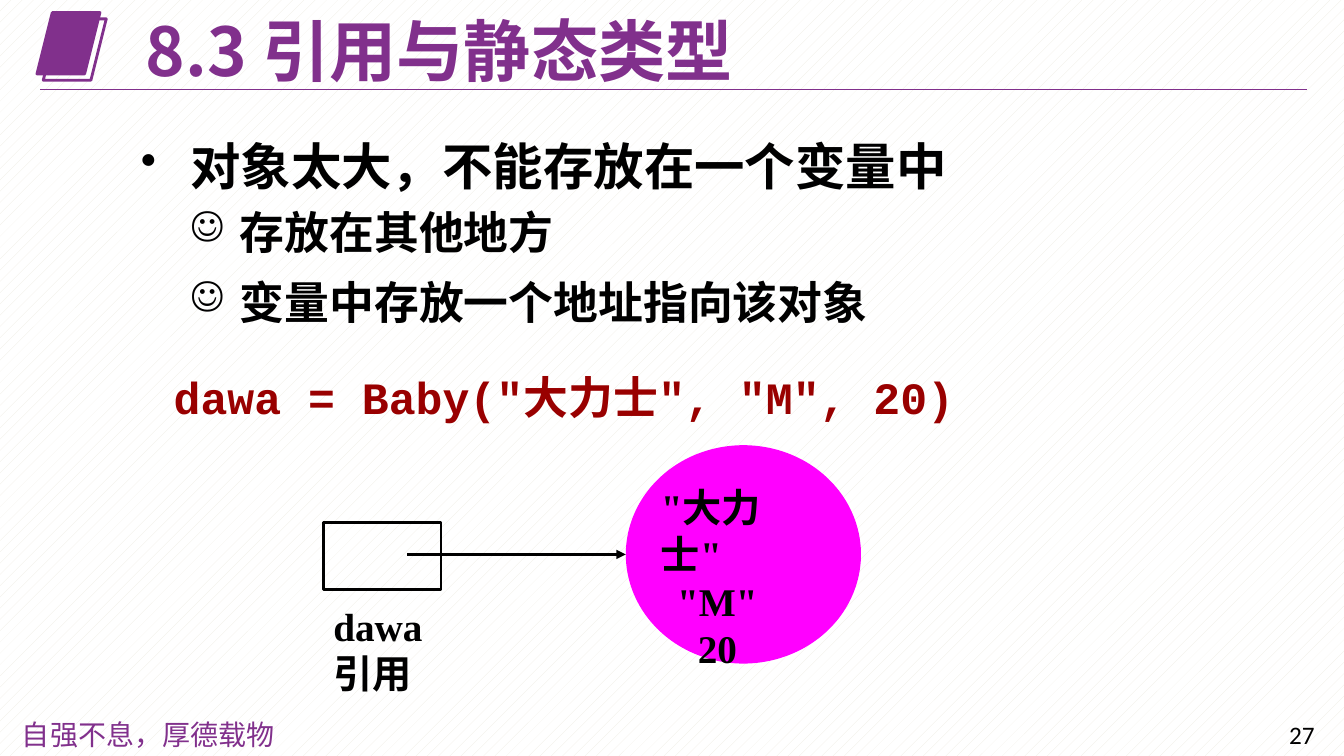
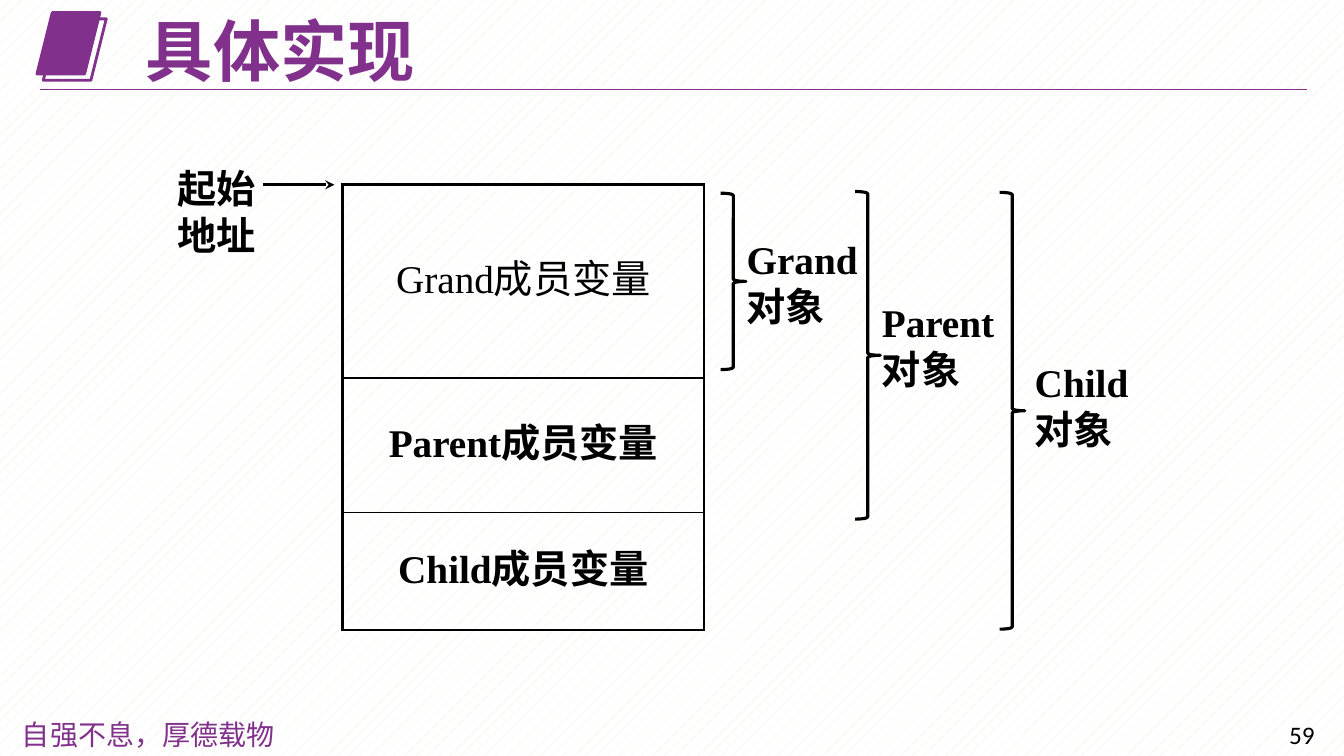
from dataclasses import dataclass

from lxml.etree import SubElement as add_element
from pptx import Presentation
from pptx.dml.color import RGBColor as Color
from pptx.enum.dml import MSO_PATTERN_TYPE as Pattern
from pptx.enum.shapes import MSO_CONNECTOR as Connector, MSO_SHAPE as Shape
from pptx.enum.text import MSO_ANCHOR as Anchor, PP_ALIGN as Align
from pptx.oxml import parse_xml
from pptx.oxml.ns import nsdecls, qn
from pptx.util import Inches, Pt

COLUMNS, ROWS = 160, 90


@dataclass(frozen=True)
class Theme:
    purple: str = "81308C"
    ink: str = "000000"
    code: str = "990000"
    magenta: str = "FF00FF"
    dots: str = "EEECE1"
    paper: str = "FFFFFF"
    sans: str = "Noto Sans CJK SC"
    motto_font: str = "Noto Sans CJK JP"
    serif: str = "Times New Roman"
    mono: str = "Courier New"
    number_font: str = "Calibri"
    title: int = 48
    point: int = 36
    subpoint: int = 32
    label: int = 28
    motto: int = 20
    number: int = 18
    leading: float = 1.2
    thin: float = 0.75
    inner: float = 1
    outline: float = 2
    heavy: float = 2.25


class Board:
    def __init__(self, theme):
        self.theme = theme
        self.deck = Presentation()
        self.deck.slide_width = Inches(13.33)
        self.deck.slide_height = Inches(7.5)
        self.slide = None

    def across(self, columns):
        return round(self.deck.slide_width * columns / COLUMNS)

    def down(self, rows):
        return round(self.deck.slide_height * rows / ROWS)

    def place(self, left, top, width, height):
        return self.across(left), self.down(top), self.across(width), self.down(height)

    def new_slide(self, title, number):
        theme = self.theme
        self.slide = self.deck.slides.add_slide(self.deck.slide_layouts[6])
        fill = self.slide.background.fill
        fill.patterned()
        fill.pattern = Pattern.PERCENT_10
        fill.fore_color.rgb = Color.from_string(theme.dots)
        fill.back_color.rgb = Color.from_string(theme.paper)
        self.text((1.44, 84.8, 36, 5), ["自强不息，厚德载物"], size=theme.motto,
                  face=theme.motto_font, color=theme.purple, bold=False)
        self.text((152.3, 85, 7.4, 4.8), [number], size=theme.number,
                  face=theme.number_font, bold=False)
        for offset, fill_color in ((0, theme.purple), (0.75, None)):
            self.shape(Shape.PARALLELOGRAM, (4.4 + offset, 1.5 + offset, 7.5, 7.3),
                       fill_color, theme.purple)
        self.line((4.8, 10.7), (155.6, 10.7), theme.purple, theme.thin)
        self.text((16.2, 1.4, 120, 9.1), [title], size=theme.title, face=theme.sans,
                  color=theme.purple, anchor=Anchor.MIDDLE)

    def add_words(self, para, words, size, face=None, color=None, bold=True):
        theme = self.theme
        para.line_spacing = Pt(size * theme.leading)
        span = para.add_run()
        span.text = words
        formats = {"size": Pt(size), "name": face or theme.serif, "bold": bold}
        for name, value in formats.items():
            setattr(span.font, name, value)
        span.font.color.rgb = Color.from_string(color or theme.ink)
        east = theme.motto_font if face == theme.motto_font else theme.sans
        add_element(span.font._element, qn("a:ea"), typeface=east)

    def frame(self, area, anchor=Anchor.TOP):
        box = self.slide.shapes.add_textbox(*self.place(*area)).text_frame
        box.word_wrap = True
        box.vertical_anchor = anchor
        return box

    def paragraphs(self, box, items):
        for index, item in enumerate(items):
            yield (box.add_paragraph() if index else box.paragraphs[0]), item

    def text(self, area, lines, size, anchor=Anchor.TOP, centered_from=None, **formats):
        box = self.frame(area, anchor)
        for index, (para, words) in enumerate(self.paragraphs(box, lines)):
            if centered_from is not None and index >= centered_from:
                para.alignment = Align.CENTER
            self.add_words(para, words, size, **formats)

    def bullets(self, area, items):
        theme = self.theme
        looks = (("•", theme.point), ("☺", theme.subpoint))
        step = Inches(0.49)
        for para, (level, words, spacing) in self.paragraphs(self.frame(area), items):
            mark, size = looks[level]
            properties = para._p.get_or_add_pPr()
            properties.set("marL", str(step * (level + 1)))
            properties.set("indent", str(-step))
            add_element(properties, qn("a:buSzPct"), val="90000")
            add_element(properties, qn("a:buChar"), char=mark)
            para.level = level
            for name, value in spacing.items():
                setattr(para, name, Pt(value))
            self.add_words(para, words, size, theme.sans)

    def shape(self, kind, area, fill=None, line=None, width=None):
        shape = self.slide.shapes.add_shape(kind, *self.place(*area))
        shape.shadow.inherit = False
        if fill:
            shape.fill.solid()
            shape.fill.fore_color.rgb = Color.from_string(fill)
        else:
            shape.fill.background()
        if line:
            shape.line.color.rgb = Color.from_string(line)
            shape.line.width = Pt(width or self.theme.outline)
        else:
            shape.line.fill.background()

    def line(self, start, end, color, width, head=None):
        ends = [measure(value) for point in (start, end)
                for measure, value in zip((self.across, self.down), point)]
        line = self.slide.shapes.add_connector(Connector.STRAIGHT, *ends)
        line.line.color.rgb = Color.from_string(color)
        line.line.width = Pt(width)
        if head:
            add_element(line.line._get_or_add_ln(), qn("a:tailEnd"), type=head)
        add_element(line._element.spPr, qn("a:effectLst"))

    def arrow(self, start, end, head):
        self.line(start, end, self.theme.ink, self.theme.heavy, head)

    def stack(self, left, top, width, rows):
        theme = self.theme
        area = self.place(left, top, width, sum(height for _, height, _ in rows))
        table = self.slide.shapes.add_table(len(rows), 1, *area).table
        table.first_row = table.horz_banding = False
        last = len(rows) - 1
        for index, (words, height, bold) in enumerate(rows):
            table.rows[index].height = self.down(height)
            cell = table.cell(index, 0)
            cell.fill.background()
            cell.vertical_anchor = Anchor.MIDDLE
            para = cell.text_frame.paragraphs[0]
            para.alignment = Align.CENTER
            self.add_words(para, words, theme.label, bold=bold)
            self.borders(cell, {
                "L": theme.heavy,
                "R": theme.heavy,
                "T": theme.inner if index else theme.heavy,
                "B": theme.heavy if index == last else theme.inner,
            })

    def borders(self, cell, widths):
        properties = cell._tc.get_or_add_tcPr()
        for position, (side, width) in enumerate(widths.items()):
            properties.insert(position, parse_xml(
                f'<a:ln{side} {nsdecls("a")} w="{Pt(width)}"><a:solidFill>'
                f'<a:srgbClr val="{self.theme.ink}"/></a:solidFill></a:ln{side}>'))


def reference_slide(board):
    theme = board.theme
    board.new_slide("8.3 引用与静态类型", "27")
    board.bullets((15.6, 15.5, 108, 65), [
        (0, "对象太大，不能存放在一个变量中", {}),
        (1, "存放在其他地方", {"space_before": 6.4, "space_after": 12}),
        (1, "变量中存放一个地址指向该对象", {}),
    ])
    board.text((19.5, 43.4, 110, 7.7), ['dawa = Baby("大力士", "M", 20)'],
               size=theme.subpoint, face=theme.mono, color=theme.code)
    board.shape(Shape.RECTANGLE, (38.5, 62.2, 14, 8), line=theme.ink)
    board.shape(Shape.OVAL, (74.5, 53, 28, 26), fill=theme.magenta)
    board.text((38.5, 71.1, 15, 13.7), ["dawa", "引用"], size=theme.label)
    board.text((77.5, 56.9, 15.8, 20.4), ['"大力士"', '"M"', "20"],
               size=theme.label, centered_from=1)
    board.arrow((48.5, 66), (74.5, 66), "triangle")


def layout_slide(board):
    theme = board.theme
    board.new_slide("具体实现", "59")
    board.stack(40.8, 22, 43, [
        ("Grand成员变量", 23, False),
        ("Parent成员变量", 16, True),
        ("Child成员变量", 14, True),
    ])
    board.arrow((31.3, 22), (39.8, 22), "stealth")
    board.text((19.9, 19, 12, 12.5), ["起始", "地址"], size=theme.label)
    scopes = [
        ("Grand", (85.8, 23, 3, 21), (87.7, 27.4)),
        ("Parent", (101.8, 22.8, 3, 39), (103.8, 34.9)),
        ("Child", (119, 22.9, 3, 52), (122, 42.1)),
    ]
    for name, brace, corner in scopes:
        board.shape(Shape.RIGHT_BRACE, brace, line=theme.ink, width=theme.heavy)
        board.text((*corner, 17, 12.5), [name, "对象"], size=theme.label)


def main():
    board = Board(Theme())
    reference_slide(board)
    layout_slide(board)
    board.deck.save("out.pptx")


if __name__ == "__main__":
    main()
